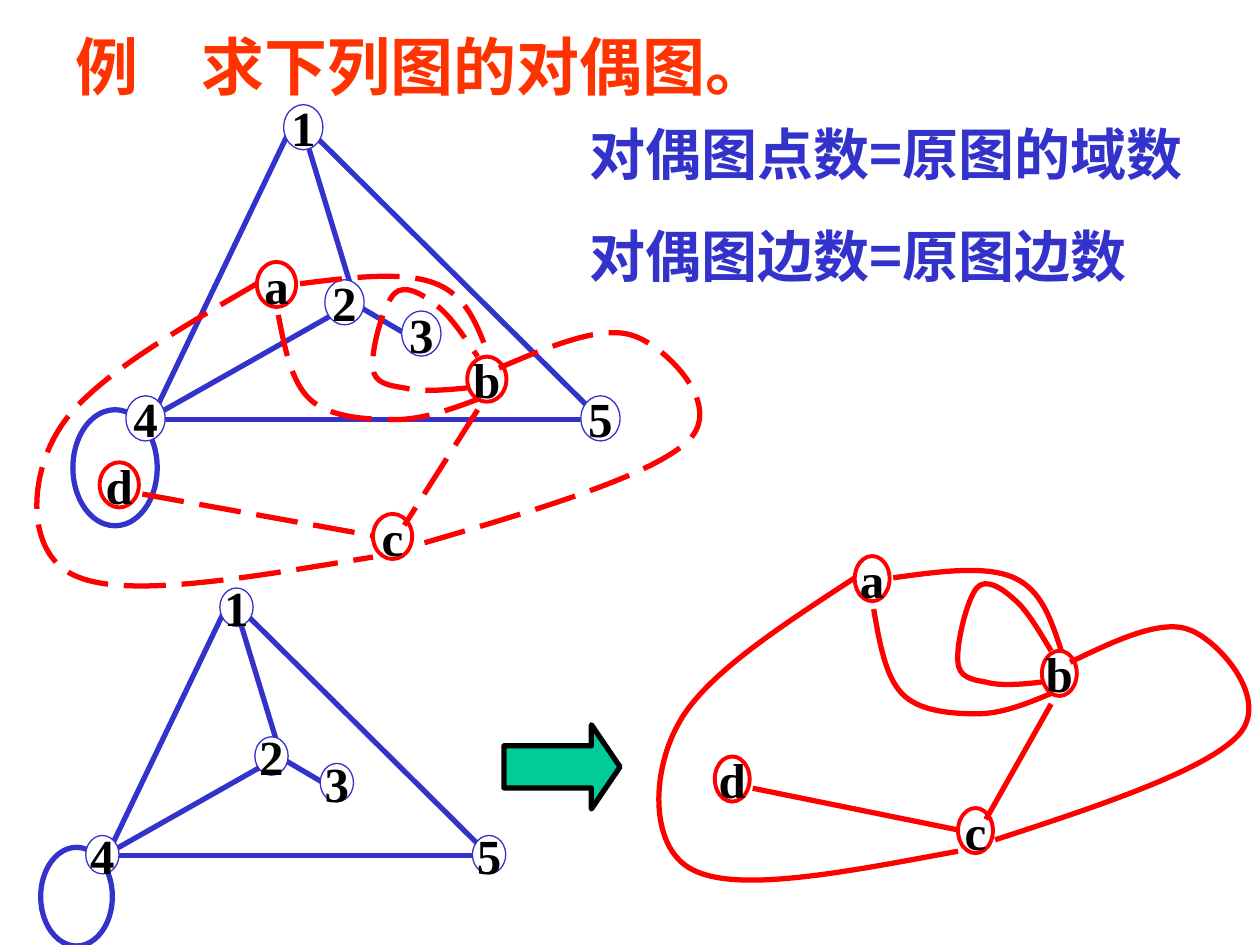
from lxml import etree
from pptx import Presentation
from pptx import util as u
from pptx.dml import color, line as dml_line
from pptx.enum import dml, shapes, text
from pptx.oxml import ns

BLUE, RED, ORANGE, GREEN = "3333CC", "FF0000", "FF3300", "00CC99"
BLACK, WHITE = "000000", "FFFFFF"
SERIF, CJK = "Times New Roman", "Noto Sans CJK SC"
NODE_SIZE = (0.79, 0.91)

GRAPH_NODES = {"1": (5.72, 2.11), "4": (2.54, 7.98), "2": (6.55, 5.64),
               "5": (11.71, 7.98), "3": (8.1, 6.27)}
GRAPH_LOOP = (1.47, 8.26, 1.7, 2.34)
GRAPH_EDGES = [
    [(6.15, 2.74), (7.19, 6.15)],
    [(7.19, 6.07), (2.97, 8.46)],
    [(5.92, 2.46), (2.97, 8.61)],
    [(3.18, 8.46), (12.07, 8.46)],
    [(6.15, 2.54), (12.27, 8.61)],
    [(7.19, 6.15), (8.26, 6.78)],
]
DUAL_NODES = {"a": (5.18, 5.28), "b": (9.42, 7.19), "c": (7.52, 10.36), "d": (2.01, 9.32)}
DUAL_EDGES = [[(9.63, 8.26), (8.15, 10.59)], [(2.87, 9.96), (7.52, 10.8)]]
DUAL_CURVES = [
    [(5.18, 5.72), (3.48, 6.71), (1.75, 7.7), (1.17, 8.69), (0.56, 9.68),
     (0.53, 11.23), (1.57, 11.63), (2.64, 12.07), (5.08, 11.63), (7.52, 11.23)],
    [(6.05, 5.72), (7.09, 5.59), (8.15, 5.46), (8.79, 5.72), (9.42, 5.97),
     (9.63, 6.58), (9.86, 7.19)],
    [(10.06, 7.42), (11.13, 6.96), (12.17, 6.53), (12.8, 6.78), (13.44, 7.01),
     (14.61, 8.18), (13.87, 8.89), (13.13, 9.6), (10.74, 10.31), (8.36, 11)],
    [(5.61, 6.35), (5.74, 7.01), (5.87, 7.7), (6.25, 8.05), (6.63, 8.41),
     (7.37, 8.46), (7.95, 8.46), (8.51, 8.46), (9.07, 8.26), (9.63, 8.05)],
    [(9.42, 7.82), (8.94, 7.87), (8.46, 7.9), (8.15, 7.82), (7.82, 7.77),
     (7.54, 7.72), (7.52, 7.42), (7.47, 7.09), (7.72, 6.15), (7.95, 5.92),
     (8.15, 5.72), (8.51, 5.92), (8.79, 6.15), (9.07, 6.35), (9.35, 6.78), (9.63, 7.19)],
]


def rgb(value):
    """Return a colour from its hex string."""
    return color.RGBColor.from_string(value)


def mapping(scale=(1, 1), shift=(0, 0)):
    """Return a function that scales and shifts a point in centimetres."""
    def place(point):
        return [u.Cm(value * factor + offset)
                for value, factor, offset in zip(point, scale, shift)]
    return place


def extent(size, scale):
    """Return a scaled width and height."""
    return [u.Cm(value * factor) for value, factor in zip(size, scale)]


def format_line(outline, hue, width, dashed=False):
    """Set colour, width and dash of an outline."""
    outline.fill.solid()
    outline.fill.fore_color.rgb = rgb(hue)
    outline.width = u.Pt(width)
    if dashed:
        outline.dash_style = dml.MSO_LINE.LONG_DASH


def format_span(span, hue, size, latin, asian=None):
    """Set the font of a run, with an East Asian face if given."""
    values = {"name": latin, "size": u.Pt(size), "bold": True}
    for name, value in values.items():
        setattr(span.font, name, value)
    span.font.color.rgb = rgb(hue)
    if asian:
        properties = span.font._element
        etree.SubElement(properties, ns.qn("a:ea"), typeface=asian)


def fill_text(box, lines, hue, size, latin, gap=0):
    """Write left-aligned paragraphs into a wrapping box."""
    frame = box.text_frame
    values = {"word_wrap": True, "auto_size": text.MSO_AUTO_SIZE.NONE,
              "vertical_anchor": text.MSO_ANCHOR.TOP}
    for name, value in values.items():
        setattr(frame, name, value)
    for index, line in enumerate(lines):
        para = frame.add_paragraph() if index else frame.paragraphs[0]
        para.alignment = text.PP_ALIGN.LEFT
        para.space_before = u.Pt(gap if index else 0)
        span = para.add_run()
        span.text = line
        format_span(span, hue, size, latin, CJK)


def add_preset(page, kind, bounds, hue, width, fill=None):
    """Add a preset shape without a shadow."""
    shape = page.shapes.add_shape(kind, *bounds)
    shape.shadow.inherit = False
    if fill:
        shape.fill.solid()
        shape.fill.fore_color.rgb = rgb(fill)
    else:
        shape.fill.background()
    format_line(shape.line, hue, width)
    return shape


def add_node(page, label, corner, size, hue, width):
    """Add a labelled graph vertex."""
    node = add_preset(page, shapes.MSO_SHAPE.OVAL, (*corner, *size), hue, width, WHITE)
    frame = node.text_frame
    frame.word_wrap = False
    frame.vertical_anchor = text.MSO_ANCHOR.MIDDLE
    para = frame.paragraphs[0]
    para.alignment = text.PP_ALIGN.CENTER
    span = para.add_run()
    span.text = label
    format_span(span, BLACK, 28, SERIF)


def add_edge(page, start, end, hue, dashed=False):
    """Add a straight graph edge."""
    edge = page.shapes.add_connector(shapes.MSO_CONNECTOR.STRAIGHT, *start, *end)
    format_line(edge.line, hue, 3, dashed)
    etree.SubElement(edge.element.spPr, ns.qn("a:effectLst"))


def add_curve(page, points, hue, dashed=False):
    """Add an open outline of cubic curves through its control points."""
    builder = page.shapes.build_freeform(*points[0], scale=1.0)
    builder.add_line_segments(points[1:], close=False)
    curve = builder.convert_to_shape()
    steps = list(curve.element.iter(ns.qn("a:lnTo")))
    for first in range(0, len(steps), 3):
        cubic = etree.Element(ns.qn("a:cubicBezTo"))
        steps[first].addprevious(cubic)
        for step in steps[first:first + 3]:
            cubic.append(step[0])
            step.getparent().remove(step)
    curve.shadow.inherit = False
    curve.fill.background()
    format_line(curve.line, hue, 3, dashed)


def add_graph(page, scale=(1, 1), shift=(0, 0)):
    """Draw the plane graph with its loop, edges and vertices."""
    place = mapping(scale, shift)
    bounds = (*place(GRAPH_LOOP[:2]), *extent(GRAPH_LOOP[2:], scale))
    add_preset(page, shapes.MSO_SHAPE.OVAL, bounds, BLUE, 3)
    for start, end in GRAPH_EDGES:
        add_edge(page, place(start), place(end), BLUE)
    for label, corner in GRAPH_NODES.items():
        add_node(page, label, place(corner), extent(NODE_SIZE, scale), BLUE, 0.75)


def add_dual(page, scale=(1, 1), shift=(0, 0), dashed=False):
    """Draw the dual graph with its vertices, curves and edges."""
    place = mapping(scale, shift)
    for label, corner in DUAL_NODES.items():
        add_node(page, label, place(corner), extent(NODE_SIZE, scale), RED, 2.25)
    for points in DUAL_CURVES:
        add_curve(page, [place(point) for point in points], RED, dashed)
    for start, end in DUAL_EDGES:
        add_edge(page, place(start), place(end), RED, dashed)


def main():
    """Build the slide and save it."""
    deck = Presentation()
    deck.slide_width, deck.slide_height = u.Cm(25.4), u.Cm(19.05)
    page = deck.slides.add_slide(deck.slide_layouts[5])
    title = page.shapes.title
    place = {"left": 1.27, "top": 0.43, "width": 19.05, "height": 1.78}
    for name, value in place.items():
        setattr(title, name, u.Cm(value))
    fill_text(title, ["例　求下列图的对偶图。"], ORANGE, 36, SERIF)
    rules = page.shapes.add_textbox(u.Cm(11.63), u.Cm(2.29), u.Cm(12.5), u.Cm(5.03))
    fill_text(rules, ["对偶图点数=原图的域数", "对偶图边数=原图边数"], BLUE, 32, CJK, 20)
    add_graph(page)
    add_dual(page, dashed=True)
    add_graph(page, (0.85, 0.85), (-0.43, 10.06))
    add_dual(page, (0.89, 1), (12.62, 5.93))
    bounds = [u.Cm(value) for value in (10.16, 14.61, 2.34, 1.7)]
    arrow = add_preset(page, shapes.MSO_SHAPE.RIGHT_ARROW, bounds, BLACK, 3, GREEN)
    arrow.adjustments[1] = 0.34
    deck.save("out.pptx")


if __name__ == "__main__":
    main()
